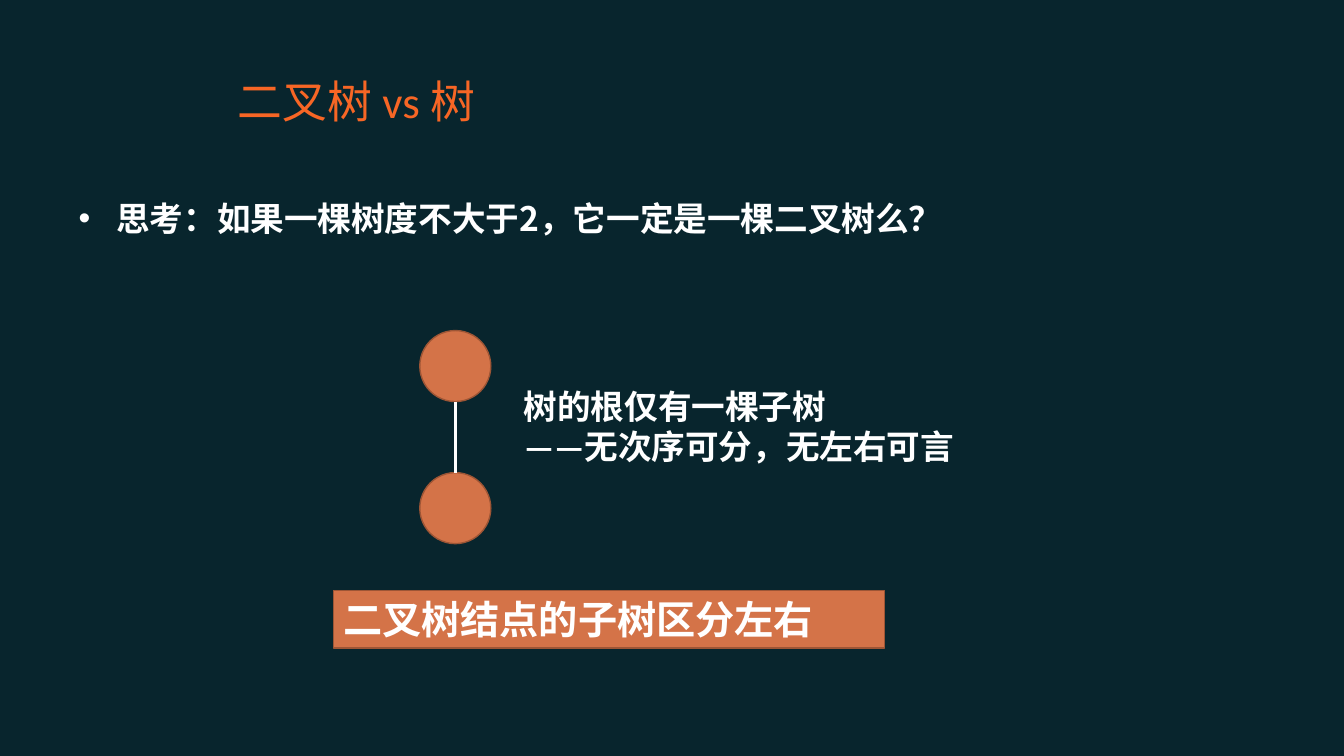
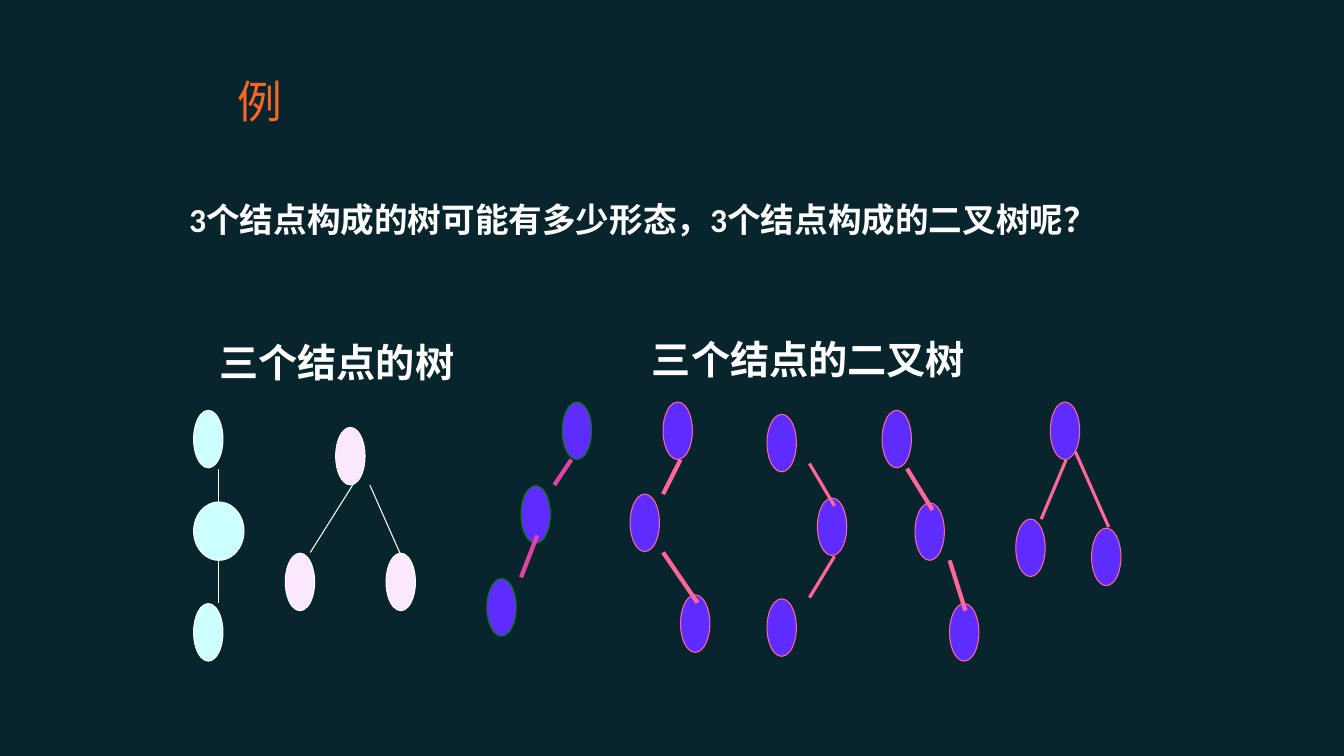
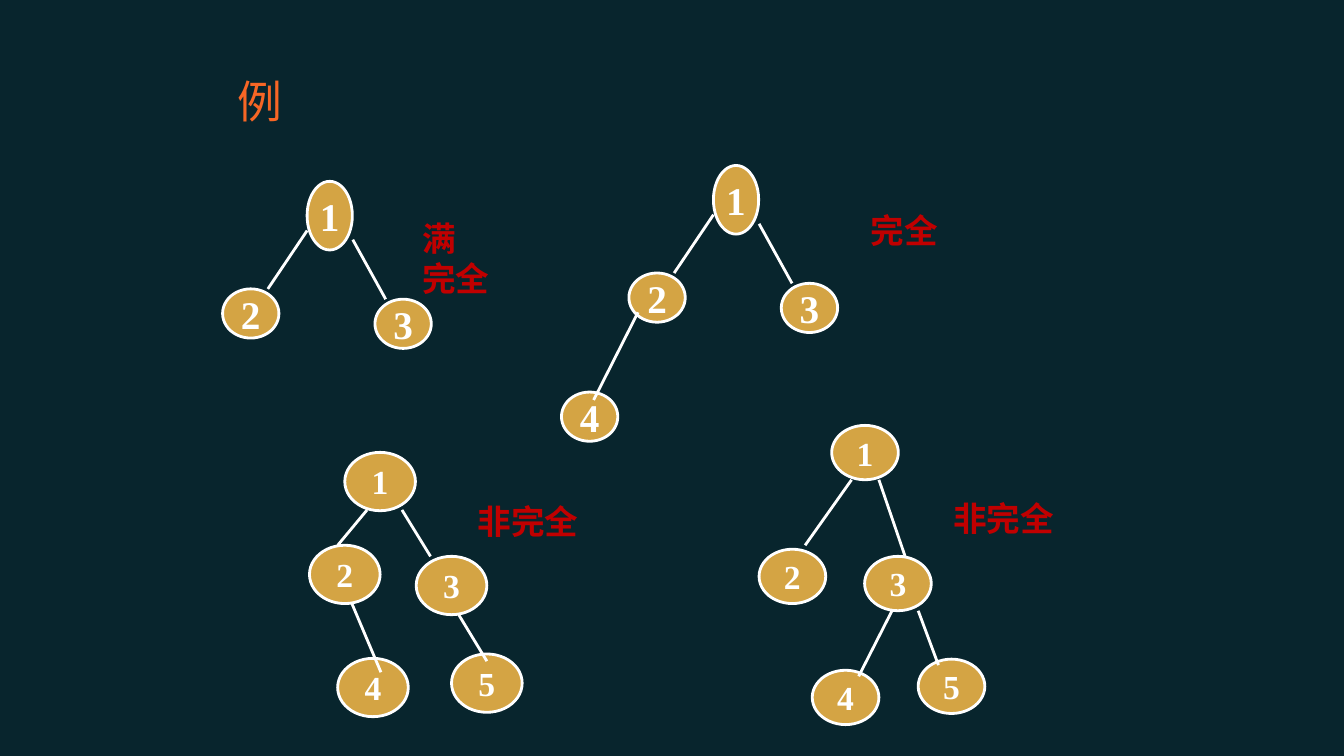
import pptx
import pptx.dml.color
import pptx.enum.shapes
import pptx.enum.text
import pptx.oxml
import pptx.oxml.ns
import pptx.util
from lxml import etree

Cm = pptx.util.Cm
Pt = pptx.util.Pt
SHAPES = pptx.enum.shapes.MSO_SHAPE
ANCHOR = pptx.enum.text.MSO_ANCHOR
ALIGN = pptx.enum.text.PP_ALIGN

BACKGROUND, ORANGE, WHITE, RED = "08252D", "F76625", "FFFFFF", "C00000"
COPPER, COPPER_EDGE, GOLD = "D47348", "9D5535", "D4A444"
VIOLET, PINK = "5E2CFF", "FF6699"
LATIN, CHINESE, SERIF = "Calibri", "Noto Sans CJK SC", "Times New Roman"


def color(hex_string):
    return pptx.dml.color.RGBColor.from_string(hex_string)


def add_element(parent, tag, **attributes):
    element = etree.SubElement(parent, pptx.oxml.ns.qn(tag))
    for name, value in attributes.items():
        element.set(name, value)


class Deck:
    """Holds the shared style and the slide being filled."""

    def __init__(self):
        self.presentation = pptx.Presentation()
        self.presentation.slide_width = Cm(33.87)
        self.presentation.slide_height = Cm(19.05)

    def new_slide(self, title):
        layout = self.presentation.slide_layouts[6]
        self.slide = self.presentation.slides.add_slide(layout)
        fill = self.slide.background.fill
        fill.solid()
        fill.fore_color.rgb = color(BACKGROUND)
        self.text((5.74, 1.52, 20.19, 2.01), title, size=32, ink=ORANGE,
                  bold=False, anchor=ANCHOR.MIDDLE)

    def fill_text(self, shape, text, size=24, font=LATIN, ink=WHITE, bold=True,
                  align=ALIGN.LEFT, bullet=False, **frame_format):
        """Fill a shape with one paragraph for each line of text."""
        frame = shape.text_frame
        frame_values = {"word_wrap": True, "vertical_anchor": ANCHOR.TOP}
        for name, value in {**frame_values, **frame_format}.items():
            setattr(frame, name, value)
        font_values = {"size": Pt(size), "bold": bold, "name": font}
        for number, line in enumerate(text.split("\n")):
            paragraph = frame.add_paragraph() if number else frame.paragraphs[0]
            paragraph.alignment = align
            if bullet:
                properties = paragraph._p.get_or_add_pPr()
                properties.set("marL", str(Cm(0.95)))
                properties.set("indent", str(-Cm(0.95)))
                add_element(properties, "a:buFont", typeface="Arial")
                add_element(properties, "a:buChar", char="•")
            run = paragraph.add_run()
            run.text = line
            for name, value in font_values.items():
                setattr(run.font, name, value)
            run.font.color.rgb = color(ink)
            add_element(run._r.get_or_add_rPr(), "a:ea", typeface=font)

    def text(self, box, text, anchor=ANCHOR.TOP, **style):
        shape = self.slide.shapes.add_textbox(*map(Cm, box))
        self.fill_text(shape, text, vertical_anchor=anchor, **style)

    def shape(self, kind, box, fill, edge, width):
        shape = self.slide.shapes.add_shape(kind, *map(Cm, box))
        shape.shadow.inherit = False
        shape.fill.solid()
        shape.fill.fore_color.rgb = color(fill)
        shape.line.color.rgb = color(edge)
        shape.line.width = Pt(width)
        return shape

    def line(self, ends, ink, width):
        connector = self.slide.shapes.add_connector(
            pptx.enum.shapes.MSO_CONNECTOR.STRAIGHT, *map(Cm, ends))
        connector.line.color.rgb = color(ink)
        connector.line.width = Pt(width)
        add_element(connector._element.spPr, "a:effectLst")

    def nodes(self, places, size, fill, edge, width):
        """Draw ellipses at (left, top), or at (left, top, width, height)."""
        return [self.shape(SHAPES.OVAL, (*place, *size)[:4], fill, edge, width)
                for place in places]

    def lines(self, branches, ink, width):
        for ends in branches:
            self.line(ends, ink, width)

    def numbered_tree(self, places, size, branches, font_size):
        for number, node in enumerate(self.nodes(places, size, GOLD, WHITE, 2), 1):
            self.fill_text(node, str(number), size=font_size, font=SERIF,
                           align=ALIGN.CENTER, word_wrap=False,
                           vertical_anchor=ANCHOR.MIDDLE, margin_left=0,
                           margin_right=0, margin_top=0, margin_bottom=0)
        self.lines(branches, WHITE, 2)


def build_comparison(deck):
    deck.new_slide("二叉树 vs 树")
    deck.text((1.73, 4.85, 30.48, 1.5), "思考：如果一棵树度不大于2，它一定是一棵二叉树么？",
              font=CHINESE, bullet=True)
    deck.nodes([(10.58, 8.33), (10.58, 11.91)], (1.79, 1.79), COPPER, COPPER_EDGE, 1)
    deck.line((11.48, 10.12, 11.48, 11.91), WHITE, 1.5)
    deck.text((12.95, 9.6, 11.71, 2.31), "树的根仅有一棵子树\n——无次序可分，无左右可言")
    banner = deck.shape(SHAPES.RECTANGLE, (8.4, 14.88, 13.89, 1.45),
                        COPPER, COPPER_EDGE, 1)
    deck.fill_text(banner, "二叉树结点的子树区分左右", size=28)


def build_three_node_trees(deck):
    deck.new_slide("例")
    deck.text((4.52, 4.88, 23.52, 2.3),
              "3个结点构成的树可能有多少形态，3个结点构成的二叉树呢？")
    deck.text((5.28, 8.41, 7.67, 1.6), "三个结点的树", size=28, font=CHINESE)
    deck.text((16.18, 8.33, 8.6, 1.6), "三个结点的二叉树", size=28, font=CHINESE)
    # Fill, node edge, branch colour, branch width, nodes, branches
    trees = [
        ("CCFFFF", WHITE, WHITE, 0.75,
         [(4.88, 10.34), (4.88, 12.65, 1.27, 1.47), (4.88, 15.21)],
         [(5.51, 11.81, 5.51, 12.65), (5.51, 14.12, 5.51, 15.19)]),
        ("FBE8FE", WHITE, WHITE, 0.75,
         [(8.46, 10.77), (7.19, 13.94), (9.73, 13.94)],
         [(8.89, 12.22, 7.82, 13.92), (9.32, 12.22, 10.16, 14.12)]),
        (VIOLET, "008000", "E043A3", 3,
         [(14.17, 10.13), (13.13, 12.24), (12.27, 14.58)],
         [(14.4, 11.58, 13.97, 12.22), (13.54, 13.49, 13.13, 14.55)]),
        (VIOLET, PINK, PINK, 3,
         [(16.71, 10.13), (15.88, 12.45), (17.15, 14.99)],
         [(17.15, 11.58, 16.71, 12.45), (16.71, 13.92, 17.58, 15.19)]),
        (VIOLET, PINK, PINK, 2.25,
         [(19.33, 10.44), (20.6, 12.55), (19.33, 15.09)],
         [(20.4, 11.68, 21.03, 12.75), (21.03, 14.02, 20.4, 15.06)]),
        (VIOLET, PINK, PINK, 3,
         [(22.23, 10.34), (23.06, 12.67), (23.93, 15.21)],
         [(22.86, 11.81, 23.5, 12.85), (23.93, 14.12, 24.33, 15.39)]),
        (VIOLET, PINK, PINK, 2.25,
         [(26.47, 10.13), (25.6, 13.08), (27.51, 13.31)],
         [(26.87, 11.58, 26.24, 13.08), (27.1, 11.38, 27.94, 13.28)]),
    ]
    for fill, edge, ink, width, places, branches in trees:
        deck.nodes(places, (0.74, 1.45), fill, edge, 0.75)
        deck.lines(branches, ink, width)


def build_complete_trees(deck):
    deck.new_slide("例")
    # The two upper trees share one form; the right one has a fourth node
    for left, top, extra_nodes, extra_branches in [
            (5.61, 4.57, [], []),
            (15.85, 4.17, [(14.15, 9.88)], [(16.08, 7.87, 14.96, 10.08)])]:
        places = [(left + 2.13, top, 1.14, 1.73), (left, top + 2.71),
                  (left + 3.84, top + 2.97)]
        branches = [(left + 2.13, top + 1.24, left + 1.14, top + 2.71),
                    (left + 3.28, top + 1.47, left + 4.11, top + 2.97)]
        deck.numbered_tree(places + extra_nodes, (1.42, 1.24),
                           branches + extra_branches, 28)
    deck.numbered_tree(
        [(8.69, 11.4), (7.8, 13.74), (10.49, 14.02), (8.51, 16.59), (11.38, 16.48)],
        (1.78, 1.47),
        [(9.25, 12.85, 8.51, 13.74), (10.13, 12.85, 10.85, 14.02),
         (8.86, 15.19, 9.6, 16.94), (11.56, 15.49, 12.27, 16.66)], 24)
    deck.numbered_tree(
        [(20.96, 10.72), (19.13, 13.84), (21.79, 14.02), (20.47, 16.89), (23.14, 16.61)],
        (1.68, 1.37),
        [(21.46, 12.09, 20.29, 13.74), (22.15, 12.09, 22.81, 14.02),
         (22.48, 15.39, 21.64, 17.04), (23.14, 15.39, 23.65, 16.76)], 24)
    for left, top, width, height, verdict in [
            (10.39, 5.36, 2.24, 2.31, "满\n完全"), (21.69, 5.16, 2.24, 1.3, "完全"),
            (11.79, 12.5, 3.07, 1.3, "非完全"), (23.77, 12.42, 3.07, 1.3, "非完全")]:
        deck.text((left, top, width, height), verdict, ink=RED)


def main():
    deck = Deck()
    build_comparison(deck)
    build_three_node_trees(deck)
    build_complete_trees(deck)
    deck.presentation.save("out.pptx")


if __name__ == "__main__":
    main()
